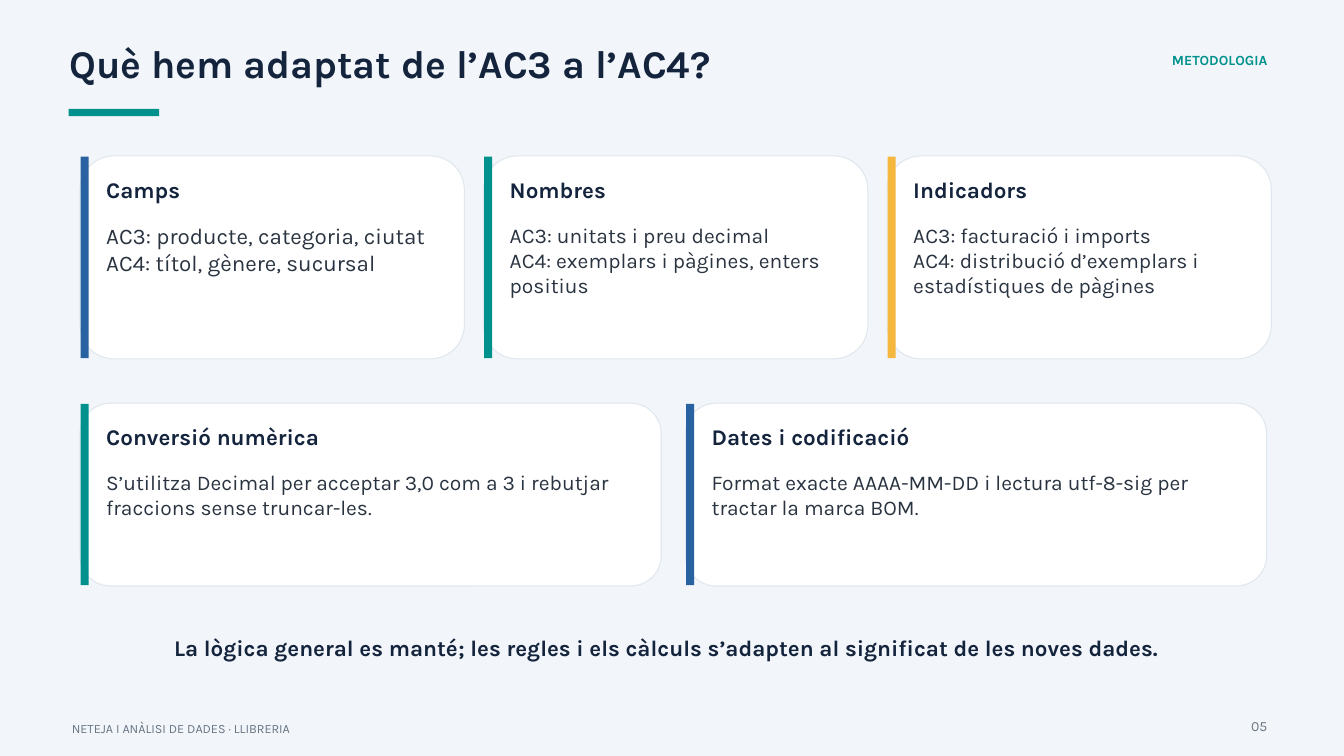
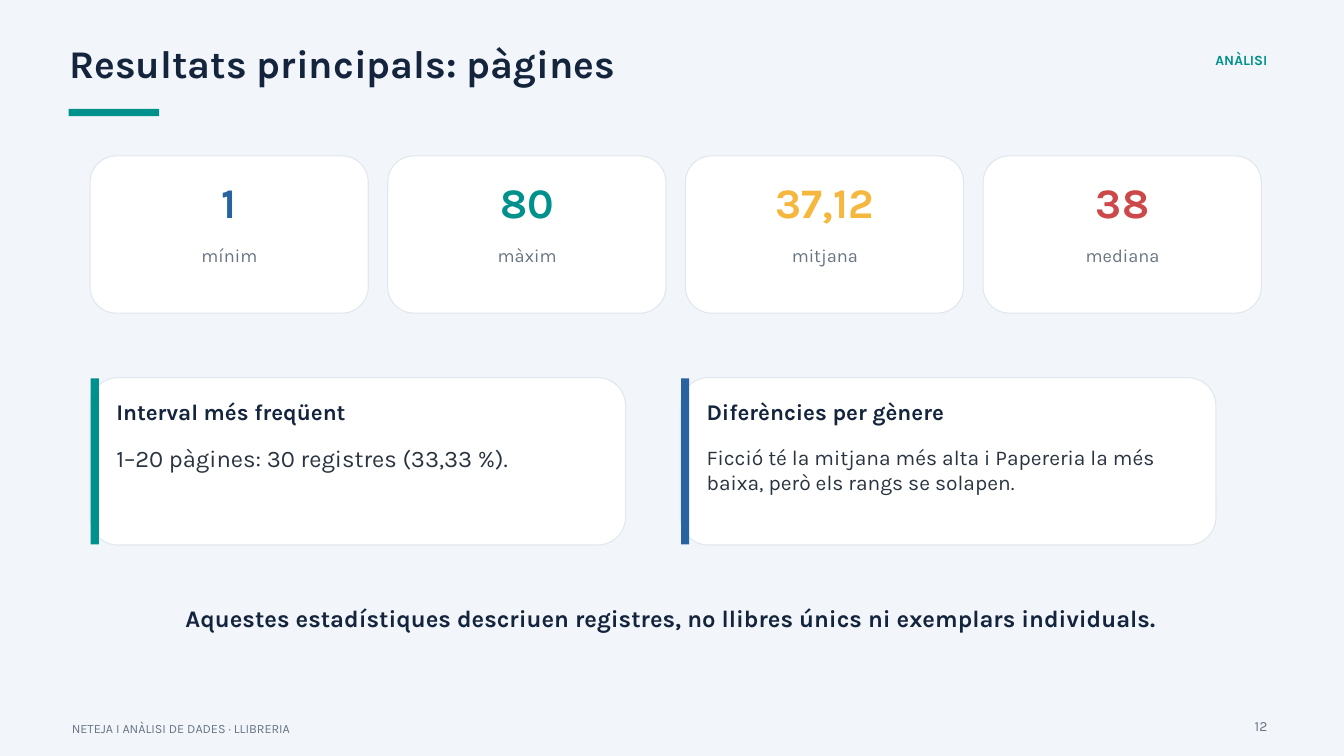
from dataclasses import dataclass

from pptx import Presentation
from pptx.dml.color import RGBColor
from pptx.enum.shapes import MSO_SHAPE as Shape
from pptx.enum.text import MSO_AUTO_SIZE as AutoSize, PP_ALIGN as Align
from pptx.util import Inches, Pt

COLORS = {
    "page": "F2F6FA", "card": "FFFFFF", "border": "E0E7EE",
    "ink": "14243D", "body": "2A3441", "muted": "677482",
    "teal": "00918C", "blue": "2962A0", "gold": "F5B73D", "red": "CD4949",
}
FONT = "Karla"
FOOTER = "NETEJA I ANÀLISI DE DADES · LLIBRERIA"

WIDTH, HEIGHT = Inches(20), Inches(11.25)
COLUMN, ROW = WIDTH / 80, HEIGHT / 45
TOP = 9.28  # first row of cards


@dataclass(frozen=True)
class Box:
    """A rectangle in grid columns and rows."""
    x: float
    y: float
    w: float
    h: float

    def emu(self) -> tuple[int, ...]:
        return (round(self.x * COLUMN), round(self.y * ROW),
                round(self.w * COLUMN), round(self.h * ROW))

    def inner(self, dx: float, dy: float, w: float, h: float) -> "Box":
        return Box(self.x + dx, self.y + dy, w, h)

    def repeat(self, step: float, count: int) -> list["Box"]:
        return [self.inner(i * step, 0, self.w, self.h) for i in range(count)]


@dataclass(frozen=True)
class Card:
    heading: str
    body: str
    color: str
    size: float = 22.5


@dataclass(frozen=True)
class Figure:
    value: str
    label: str
    color: str


def rgb(name: str) -> RGBColor:
    return RGBColor.from_string(COLORS[name])


def add_text(s, box: Box, text: str, *, size: float, color: str = "ink",
             bold: bool = False, align: Align = Align.LEFT) -> None:
    """Write one paragraph per line of text."""
    tf = s.shapes.add_textbox(*box.emu()).text_frame
    tf.word_wrap = True
    tf.auto_size = AutoSize.SHAPE_TO_FIT_TEXT
    tf.margin_left = tf.margin_top = tf.margin_right = tf.margin_bottom = 0
    tf.text = text
    for p in tf.paragraphs:
        p.alignment = align
        p.line_spacing = Pt(size * 1.2)
        for r in p.runs:
            r.font.name = FONT
            r.font.size = Pt(size)
            r.font.bold = bold
            r.font.color.rgb = rgb(color)


def add_shape(s, kind: Shape, box: Box, fill: str):
    sp = s.shapes.add_shape(kind, *box.emu())
    sp.shadow.inherit = False
    sp.fill.solid()
    sp.fill.fore_color.rgb = rgb(fill)
    sp.line.fill.background()
    return sp


def add_panel(s, box: Box) -> None:
    sp = add_shape(s, Shape.ROUNDED_RECTANGLE, box, "card")
    sp.adjustments[0] = 1 / 6
    sp.line.color.rgb = rgb("border")
    sp.line.width = Pt(1.13)


def add_card(s, box: Box, card: Card) -> None:
    add_panel(s, box)
    add_shape(s, Shape.RECTANGLE, box.inner(0.04, 0.04, 0.48, box.h - 0.08),
              card.color)
    text_width = box.w - 2.88
    add_text(s, box.inner(1.56, 1.2, text_width, 1.88), card.heading,
             size=24, bold=True)
    add_text(s, box.inner(1.56, 3.96, text_width, box.h - 4.8), card.body,
             size=card.size, color="body")


def add_cards(s, first: Box, step: float, cards: list[Card]) -> None:
    for box, card in zip(first.repeat(step, len(cards)), cards):
        add_card(s, box, card)


def add_figure(s, box: Box, figure: Figure) -> None:
    add_panel(s, box)
    add_text(s, box.inner(0.84, 1.2, box.w - 1.64, 3.32), figure.value,
             size=45, color=figure.color, bold=True, align=Align.CENTER)
    add_text(s, box.inner(0.96, 5.28, box.w - 1.88, 3.2), figure.label,
             size=19.5, color="muted", align=Align.CENTER)


def add_note(s, box: Box, text: str, size: float) -> None:
    add_text(s, box, text, size=size, bold=True, align=Align.CENTER)


def add_slide(prs, title: str, section: str, number: int):
    """Add a slide with the shared heading and footer."""
    s = prs.slides.add_slide(prs.slide_layouts[6])
    s.background.fill.solid()
    s.background.fill.fore_color.rgb = rgb("page")
    add_text(s, Box(4.12, 2.32, 71.04, 3.32), title, size=42, bold=True)
    add_shape(s, Shape.RECTANGLE, Box(4.08, 6.48, 5.4, 0.44), "teal")
    add_text(s, Box(62.04, 3.08, 13.4, 1.4), section, size=15, color="teal",
             bold=True, align=Align.RIGHT)
    add_text(s, Box(4.28, 42.92, 50.64, 0.84), FOOTER, size=13.5, color="muted")
    add_text(s, Box(72.84, 42.72, 2.6, 1.12), f"{number:02}", size=15,
             color="muted", align=Align.RIGHT)
    return s


def build_adaptation(prs) -> None:
    s = add_slide(prs, "Què hem adaptat de l’AC3 a l’AC4?", "METODOLOGIA", 5)
    add_cards(s, Box(4.76, TOP, 22.88, 12.08), 24.02, [
        Card("Camps", "AC3: producte, categoria, ciutat\n"
             "AC4: títol, gènere, sucursal", "blue", 24),
        Card("Nombres", "AC3: unitats i preu decimal\n"
             "AC4: exemplars i pàgines, enters positius", "teal"),
        Card("Indicadors", "AC3: facturació i imports\n"
             "AC4: distribució d’exemplars i estadístiques de pàgines", "gold"),
    ])
    add_cards(s, Box(4.76, 24, 34.6, 10.88), 36.04, [
        Card("Conversió numèrica", "S’utilitza Decimal per acceptar 3,0 com a 3 "
             "i rebutjar fraccions sense truncar-les.", "teal"),
        Card("Dates i codificació", "Format exacte AAAA-MM-DD i lectura "
             "utf-8-sig per tractar la marca BOM.", "blue"),
    ])
    add_note(s, Box(5.92, 37.72, 67.44, 2.32),
             "La lògica general es manté; les regles i els càlculs s’adapten "
             "al significat de les noves dades.", 24)


def build_results(prs) -> None:
    s = add_slide(prs, "Resultats principals: pàgines", "ANÀLISI", 12)
    figures = [
        Figure("1", "mínim", "blue"),
        Figure("80", "màxim", "teal"),
        Figure("37,12", "mitjana", "gold"),
        Figure("38", "mediana", "red"),
    ]
    first = Box(5.36, TOP, 16.56, 9.36)
    for box, figure in zip(first.repeat(17.72, len(figures)), figures):
        add_figure(s, box, figure)
    add_cards(s, Box(5.36, 22.48, 31.88, 9.96), 35.14, [
        Card("Interval més freqüent", "1–20 pàgines: 30 registres (33,33 %).",
             "teal", 25.5),
        Card("Diferències per gènere", "Ficció té la mitjana més alta i "
             "Papereria la més baixa, però els rangs se solapen.", "blue"),
    ])
    add_note(s, Box(5.92, 35.92, 68.04, 2.92),
             "Aquestes estadístiques descriuen registres, no llibres únics "
             "ni exemplars individuals.", 25.5)


def main() -> None:
    prs = Presentation()
    prs.slide_width, prs.slide_height = WIDTH, HEIGHT
    build_adaptation(prs)
    build_results(prs)
    prs.save("out.pptx")


if __name__ == "__main__":
    main()
